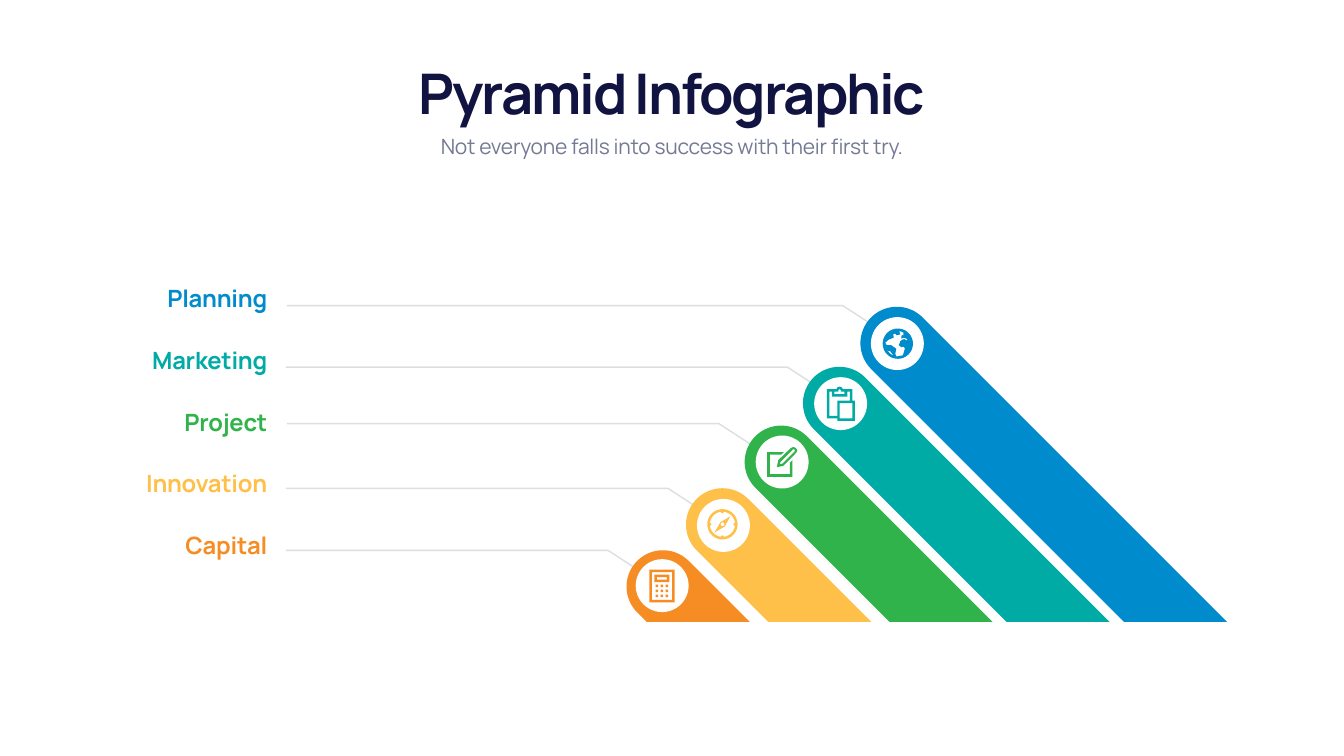
from dataclasses import dataclass
from math import cos, radians, sin, sqrt
from typing import Callable, Optional

from lxml.etree import SubElement
from pptx import Presentation
from pptx.dml.color import RGBColor
from pptx.enum.shapes import MSO_SHAPE
from pptx.enum.text import MSO_ANCHOR, MSO_AUTO_SIZE, PP_ALIGN
from pptx.oxml.ns import qn
from pptx.util import Pt

Point = tuple[float, float]
Contour = list[Point]


@dataclass(frozen=True)
class Theme:
    font: str = "Manrope"
    title: str = "111340"
    subtitle: str = "747A94"
    leader: str = "DCDFE1"
    white: str = "FFFFFF"
    title_size: float = 80
    subtitle_size: float = 30
    label_size: float = 34


@dataclass(frozen=True)
class Level:
    label: str
    color: str
    label_top: float
    cap: Point      # centre of the bar's round end
    disc: Point     # centre of the white disc
    leader: tuple[float, float, float]  # left, y, knee x
    icon_at: Point
    icon: Callable[[], list[Contour]]


THEME = Theme()
BASELINE = 888.5
CAP_RADIUS, DISC_RADIUS = 52, 37.8
LABEL_LEFT, LABEL_WIDTH, LABEL_HEIGHT = 185.8, 203, 48.2
KNEE_DX, KNEE_DY = 78.6, 51.2


# Geometry helpers
def arc(cx: float, cy: float, radius: float, start: float, end: float,
        steps: int = 48) -> Contour:
    angles = [radians(start + (end - start) * i / steps) for i in range(steps + 1)]
    return [(cx + radius * cos(a), cy + radius * sin(a)) for a in angles]


def circle(radius: float) -> Contour:
    return arc(0, 0, radius, 0, 360)


def rect(x: float, y: float, w: float, h: float) -> Contour:
    return [(x, y), (x + w, y), (x + w, y + h), (x, y + h)]


# Icons: overlapping contours cut holes in each other
def globe() -> list[Contour]:
    west = [(-18, 1.4), (-16.6, 3.6), (-16.6, 7.2), (-13, 10.8), (-10.8, 10.8),
            (-5.8, 17.3), (-10.5, 14.7), (-15.5, 9.3)]
    north = [(-2.2, -18), (-5, -16.6), (-6.5, -16.6)]
    land = [(0, -18), (5, -17.3), (9.4, -15.1), (7.9, -15.1), (7.9, -11.5),
            (6.5, -12.2), (5, -10.8), (5, -7.2), (8.6, -8.6), (13.7, -6.5),
            (13, -4.3), (9.4, -6.5), (6.5, -5.8), (3.6, -3.6), (1.4, 2.2),
            (5, 5), (8.6, 4.3), (10.1, 7.2), (7.2, 16.6), (0, 18), (-2.2, 18),
            (-3.6, 14.4), (-2.2, 7.2), (-9.4, 2.2), (-15.8, 2.2), (-18, -1.4),
            (-13, -5.8), (-5.8, -8.6), (-6.5, -13.7), (-3.6, -14.4),
            (-2.2, -12.2), (3.6, -13), (2.2, -17.3), (-1.4, -18)]
    return [circle(21.6), west, north, land]


def clipboard() -> list[Contour]:
    board = [(18.4, 0), (15.5, 1), (13.7, 3.6), (0, 3.6), (0, 45.4), (15.1, 45.4),
             (15.1, 49), (40.3, 49), (40.3, 20.2), (36.7, 20.2), (36.7, 3.6),
             (23, 3.6), (21.2, 1)]
    pane = [(3.6, 7.2), (7.2, 7.2), (7.2, 14.4), (29.5, 14.4), (29.5, 7.2),
            (33.1, 7.2), (33.1, 20.2), (15.1, 20.2), (15.1, 41.8), (3.6, 41.8)]
    clip = [(18.4, 3.6), (20.2, 5.4), (20.2, 7.2), (25.2, 7.2), (25.2, 10.8),
            (10.8, 10.8), (10.8, 7.2), (16.6, 7.2), (16.6, 5.4)]
    return [board, pane, clip, rect(18.4, 23.8, 18.3, 21.6)]


def pencil() -> list[Contour]:
    pad = [(0, 7.2), (0, 42.5), (36, 42.5), (36, 18.7), (32.4, 22.3), (32.4, 38.9),
           (3.6, 38.9), (3.6, 10.8), (20.2, 10.8), (23.8, 7.2)]
    body = [(37.4, 0), (34, 1.2), (15.8, 18.7), (13.7, 28.8), (23, 27), (41, 8.6),
            (43, 5.2), (41, 1.4)]
    core = [(37.4, 2.9), (38.9, 3.6), (39.6, 5), (38.9, 6.5), (21.6, 23.8),
            (18, 24.5), (18.7, 21.6), (36.4, 3.6)]
    return [pad, body, core]


def compass() -> list[Contour]:
    needle = [(11.5, -11.5), (-2.9, -2.9), (-11.5, 11.9), (3.2, 3.2)]
    ticks = [rect(-1.8, y, 3.6, 1.8) for y in (-17.9, 16.1)]
    ticks += [rect(x, -1.8, 1.8, 3.6) for x in (-17.9, 16.1)]
    return [circle(21.6), circle(18), needle, circle(2.7), *ticks]


def calculator() -> list[Contour]:
    keys = [rect(9 + 7.2 * col, 21.6 + 7.2 * row, 3.6, 3.6)
            for row in range(3) for col in range(3)]
    return [rect(0, 0, 36, 46.8), rect(3.6, 3.6, 28.8, 39.6),
            rect(7.2, 7.2, 21.6, 10.8), rect(10.8, 10.8, 14.4, 3.6), *keys]


LEVELS = [
    Level("Planning", "008BCC", 401.8, (1280.9, 490.3), (1281.6, 490.8),
          (409.7, 436.7, 1203.8), (1282.3, 491), globe),
    Level("Marketing", "00AAA5", 490.3, (1198.8, 576), (1200.6, 576.6),
          (408.2, 524.5, 1124.6), (1180.8, 552.2), clipboard),
    Level("Project", "30B34A", 579.6, (1115.6, 660), (1117.1, 660),
          (409.7, 605.2, 1026.7), (1095.8, 638.6), pencil),
    Level("Innovation", "FFC04A", 666, (1031.8, 749.5), (1033.2, 750.6),
          (408.2, 697.7, 954), (1031.8, 749), compass),
    Level("Capital", "F68D24", 755.3, (946.8, 838.1), (945.7, 836.6),
          (408.2, 786.2, 868.3), (927.4, 813.6), calculator),
]


# Drawing functions
def paint(sp, fill: Optional[str] = None, line: Optional[str] = None) -> None:
    sp.shadow.inherit = False
    if fill:
        sp.fill.solid()
        sp.fill.fore_color.rgb = RGBColor.from_string(fill)
    else:
        sp.fill.background()
    if line:
        sp.line.color.rgb = RGBColor.from_string(line)
        sp.line.width = Pt(2)
    else:
        sp.line.fill.background()


def draw_outline(slide, contours: list[Contour], at: Point = (0, 0),
                 closed: bool = True, **colors: str) -> None:
    placed = [[(round((x + at[0]) * 100), round((y + at[1]) * 100)) for x, y in c]
              for c in contours]
    builder = slide.shapes.build_freeform(*placed[0][0], scale=Pt(1) / 100)
    for i, points in enumerate(placed):
        if i:
            builder.move_to(*points[0])
        builder.add_line_segments(points[1:], close=closed)
    paint(builder.convert_to_shape(), **colors)


def write(sp, text: str, *, size: float, color: str, align: PP_ALIGN,
          bold: bool = False, tracking: float = 0, leading: Optional[float] = None,
          wrap: bool = True, anchor: MSO_ANCHOR = MSO_ANCHOR.TOP) -> None:
    tf = sp.text_frame
    tf.word_wrap, tf.vertical_anchor = wrap, anchor
    tf.auto_size = MSO_AUTO_SIZE.SHAPE_TO_FIT_TEXT
    p = tf.paragraphs[0]
    p.alignment = align
    if leading:
        p.line_spacing = Pt(leading)
    r = p.add_run()
    r.text = text
    r.font.name, r.font.size, r.font.bold = THEME.font, Pt(size), bold
    r.font.color.rgb = RGBColor.from_string(color)
    r.font._element.set("spc", str(round(tracking * 100)))


def draw_bar(slide, level: Level) -> None:
    (cx, cy), reach = level.cap, CAP_RADIUS / sqrt(2)
    drop = BASELINE - cy
    foot = [(cx + drop - 2 * reach, BASELINE), (cx + drop + 2 * reach, BASELINE)]
    draw_outline(slide, [arc(cx, cy, CAP_RADIUS, -45, -225) + foot], fill=level.color)


def draw_disc(slide, level: Level) -> None:
    x, y = level.disc
    sp = slide.shapes.add_shape(MSO_SHAPE.OVAL, Pt(x - DISC_RADIUS), Pt(y - DISC_RADIUS),
                                Pt(2 * DISC_RADIUS), Pt(2 * DISC_RADIUS))
    paint(sp, fill=THEME.white)


def draw_label(slide, level: Level) -> None:
    sp = slide.shapes.add_textbox(Pt(LABEL_LEFT), Pt(level.label_top),
                                  Pt(LABEL_WIDTH), Pt(LABEL_HEIGHT))
    write(sp, level.label, size=THEME.label_size, color=level.color,
          align=PP_ALIGN.RIGHT, bold=True, tracking=-0.3)


def main() -> None:
    prs = Presentation()
    prs.slide_width, prs.slide_height = Pt(1919.52), Pt(1080)
    slide = prs.slides.add_slide(prs.slide_layouts[5])

    # Heading
    title = slide.shapes.title
    title.left, title.top, title.width, title.height = Pt(587.5), Pt(80.6), Pt(744.5), Pt(102.2)
    write(title, "Pyramid Infographic", size=THEME.title_size, color=THEME.title,
          align=PP_ALIGN.CENTER, bold=True, tracking=-3, leading=94, wrap=False,
          anchor=MSO_ANCHOR.BOTTOM)
    subtitle = slide.shapes.add_textbox(Pt(616.3), Pt(185), Pt(686.9), Pt(43.2))
    write(subtitle, "Not everyone falls into success with their first try.",
          size=THEME.subtitle_size, color=THEME.subtitle, align=PP_ALIGN.CENTER,
          tracking=-0.3, leading=38.4)

    # Leaders go behind every bar
    for level in LEVELS:
        left, y, knee = level.leader
        path = [(left, y), (knee, y), (knee + KNEE_DX, y + KNEE_DY)]
        draw_outline(slide, [path], closed=False, line=THEME.leader)

    # Bars with their discs, icons and labels
    for level in LEVELS:
        draw_bar(slide, level)
        draw_disc(slide, level)
        draw_outline(slide, level.icon(), at=level.icon_at, fill=level.color)
        draw_label(slide, level)

    prs.save("out.pptx")


if __name__ == "__main__":
    main()
